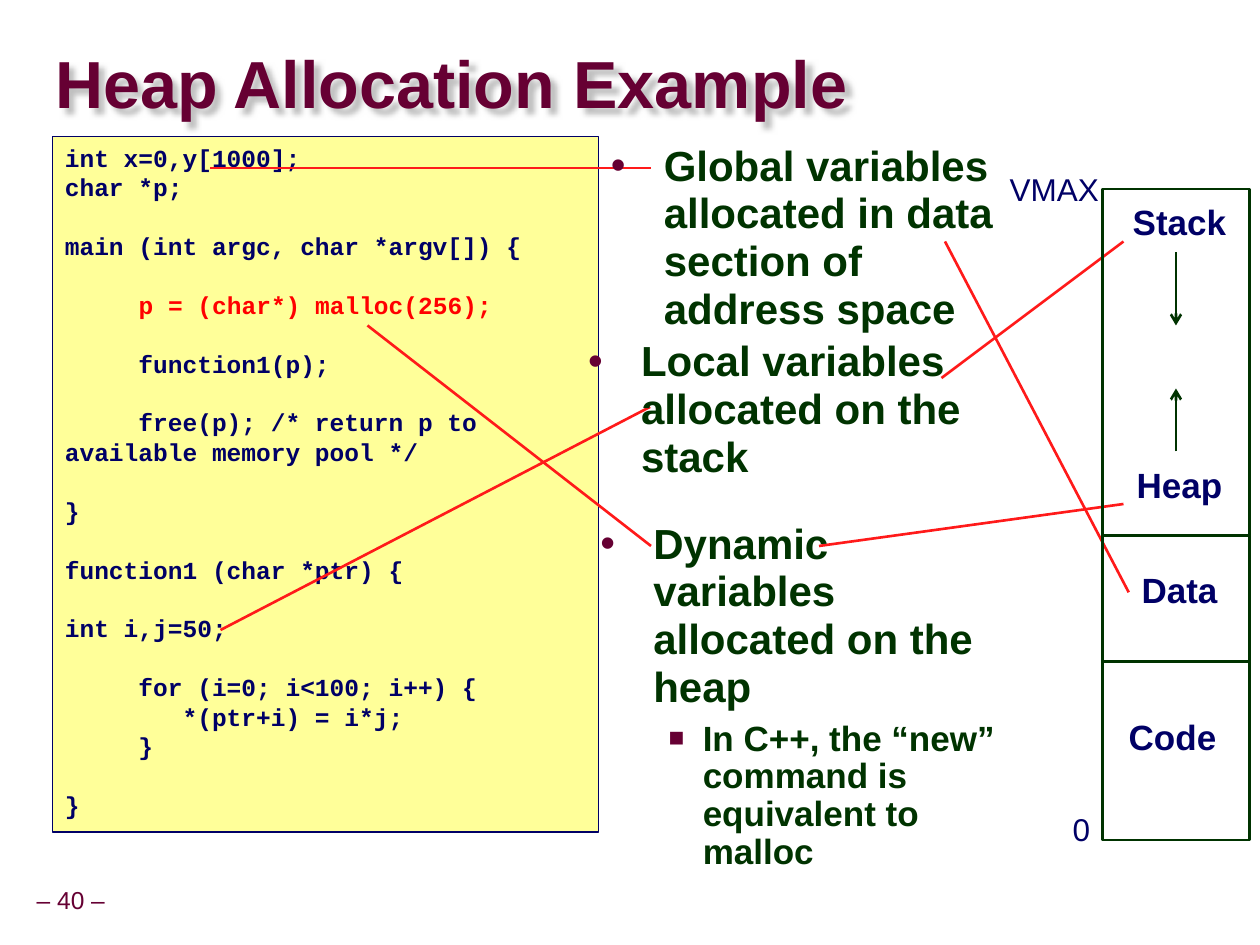
import pptx
import pptx.util
import pptx.dml.color
import pptx.enum.shapes
import pptx.enum.text
import pptx.oxml
import pptx.oxml.ns

Pt = pptx.util.Pt
RGBColor = pptx.dml.color.RGBColor
ALIGN = pptx.enum.text.PP_ALIGN
ANCHOR = pptx.enum.text.MSO_ANCHOR
RECTANGLE = pptx.enum.shapes.MSO_SHAPE.RECTANGLE
STRAIGHT = pptx.enum.shapes.MSO_CONNECTOR.STRAIGHT

MAROON = RGBColor(0x66, 0x00, 0x33)
NAVY = RGBColor(0x00, 0x00, 0x66)
GREEN = RGBColor(0x00, 0x33, 0x00)
YELLOW = RGBColor(0xFF, 0xFF, 0x99)
RED = RGBColor(0xFF, 0x00, 0x00)
LINK_RED = RGBColor(0xFF, 0x1A, 0x1A)
SHADOW_GRAY = RGBColor(0xC0, 0xC0, 0xC0)

TITLE = "Heap Allocation Example"
FOOTER = "– 40 –"
HIGHLIGHT = "p = (char*) malloc(256);"
# Each inner list is a run of code lines; a one-line gap separates them.
CODE_BLOCKS = [
    ["int x=0,y[1000];", "char *p;"],
    ["main (int argc, char *argv[]) {"],
    ["     " + HIGHLIGHT],
    ["     function1(p);"],
    ["     free(p); /* return p to available memory pool */"],
    ["}"],
    ["function1 (char *ptr) {"],
    ["int i,j=50;"],
    ["     for (i=0; i<100; i++) {", "        *(ptr+i) = i*j;", "     }"],
    ["}"],
]
CODE_SIZE = 14
CODE_GAP = CODE_SIZE * 1.2

# Each note: box, (level, text) bullets, and link lines (start, end)
NOTES = [
    ((329, 190, 250.5, 92), [(0, "Local variables allocated on the stack")],
     [((642, 138), (538, 216)), ((371.5, 232.5), (126, 360))]),
    ((336, 294, 245, 126),
     [(0, "Dynamic variables allocated on the heap"),
      (1, "In C++, the “new” command is equivalent to malloc")],
     [((372, 312), (210, 186)), ((642, 288), (468, 312))]),
    ((342, 78, 245, 99),
     [(0, "Global variables allocated in data section of address space")],
     [((372, 96), (120, 96)), ((645, 338.5), (540, 138))]),
]
# Per level: bullet, bullet size %, left indent, hanging, size, line spacing, space before
LEVELS = [("•", 100, 30.25, 30.25, 24, 0.95, 12), ("■", 75, 58.5, 19.5, 20, 0.9, 5)]

MEMORY_LEFT, MEMORY_TOP, MEMORY_WIDTH = 630, 108, 84
SECTION_HEIGHTS = [198, 72, 102]
LABEL_WIDTH = 76
# text, center x, top, size, bold
MEMORY_LABELS = [
    ("Stack", 674, 114, 20, True), ("Heap", 674, 264, 20, True),
    ("Data", 674, 324, 20, True), ("Code", 670, 408, 20, True),
    ("0", 618, 462, 18, False), ("VMAX", 602.5, 96, 18, False),
]
GROWTH_ARROWS = [((672, 144), (672, 186)), ((672, 258), (672, 222))]


def append_xml(parent, tag, inner="", **attributes):
    """Append an element of the drawing namespace to parent."""
    listed = "".join(f' {name}="{value}"' for name, value in attributes.items())
    namespace = pptx.oxml.ns.nsdecls("a")
    parent.append(pptx.oxml.parse_xml(f"<a:{tag} {namespace}{listed}>{inner}</a:{tag}>"))


def style(font, name, size, color, bold=False):
    font.name, font.size, font.bold = name, Pt(size), bold
    font.color.rgb = color


def add_text(slide, box, text, size, color, bold=False, align=ALIGN.CENTER,
             wrap=False, anchor=ANCHOR.TOP, spacing=0.9):
    shape = slide.shapes.add_textbox(*map(Pt, box))
    frame = shape.text_frame
    frame.word_wrap, frame.vertical_anchor = wrap, anchor
    frame.text = text
    paragraph = frame.paragraphs[0]
    paragraph.alignment, paragraph.line_spacing = align, spacing
    style(paragraph.runs[0].font, "Arial", size, color, bold)
    return shape


def add_line(slide, start, end, color, arrow=False):
    line = slide.shapes.add_connector(STRAIGHT, *map(Pt, start + end))
    line.line.color.rgb, line.line.width = color, Pt(1.5)
    if arrow:
        append_xml(line.line._get_or_add_ln(), "tailEnd", type="arrow")
    append_xml(line._element.spPr, "effectLst")


def add_title(slide):
    title = add_text(slide, (31.5, 19.5, 686, 61), TITLE, 38, MAROON, True,
                     ALIGN.LEFT, True, ANCHOR.MIDDLE, 0.87)
    frame = title.text_frame
    frame.margin_left = frame.margin_right = frame.margin_top = frame.margin_bottom = 0
    append_xml(title._element.spPr, "effectLst",
               f'<a:outerShdw blurRad="{Pt(3)}" dist="{Pt(4.25)}" dir="2700000">'
               f'<a:srgbClr val="{SHADOW_GRAY}"/></a:outerShdw>')


def add_code(slide):
    box = slide.shapes.add_shape(RECTANGLE, Pt(30), Pt(78), Pt(312), Pt(397.5))
    box.shadow.inherit = False
    box.fill.solid()
    box.fill.fore_color.rgb = YELLOW
    box.line.color.rgb, box.line.width = NAVY, Pt(1)
    frame = box.text_frame
    frame.word_wrap, frame.vertical_anchor = True, ANCHOR.TOP
    frame.text = "\n".join(line for block in CODE_BLOCKS for line in block)
    paragraphs = iter(frame.paragraphs)
    for block_index, block in enumerate(CODE_BLOCKS):
        for line_index, line in enumerate(block):
            paragraph = next(paragraphs)
            paragraph.alignment = ALIGN.LEFT
            if block_index and not line_index:
                paragraph.space_before = Pt(CODE_GAP)
            if HIGHLIGHT in line:
                paragraph.runs[0].text = line.replace(HIGHLIGHT, "")
                paragraph.add_run().text = HIGHLIGHT
            for run in paragraph.runs:
                color = RED if run.text == HIGHLIGHT else NAVY
                style(run.font, "Courier New", CODE_SIZE, color, True)


def add_note(slide, box, bullets):
    frame = slide.shapes.add_textbox(*map(Pt, box)).text_frame
    frame.word_wrap = True
    frame.text = "\n".join(text for _, text in bullets)
    for index, (paragraph, (level, _)) in enumerate(zip(frame.paragraphs, bullets)):
        bullet, percent, indent, hanging, size, spacing, before = LEVELS[level]
        paragraph.level, paragraph.line_spacing = level, spacing
        if index:
            paragraph.space_before = Pt(before)
        properties = paragraph._p.get_or_add_pPr()
        properties.set("marL", str(Pt(indent)))
        properties.set("indent", str(-Pt(hanging)))
        append_xml(properties, "buClr", f'<a:srgbClr val="{MAROON}"/>')
        append_xml(properties, "buSzPct", val=percent * 1000)
        append_xml(properties, "buFont", typeface="Arial")
        append_xml(properties, "buChar", char=bullet)
        style(paragraph.runs[0].font, "Arial", size, GREEN, True)


def add_memory_map(slide):
    top = MEMORY_TOP
    for height in SECTION_HEIGHTS:
        section = slide.shapes.add_shape(
            RECTANGLE, Pt(MEMORY_LEFT), Pt(top), Pt(MEMORY_WIDTH), Pt(height))
        section.shadow.inherit = False
        section.fill.background()
        section.line.color.rgb, section.line.width = GREEN, Pt(1.5)
        top += height
    for text, center, label_top, size, bold in MEMORY_LABELS:
        width = LABEL_WIDTH if len(text) > 1 else 26
        add_text(slide, (center - width / 2, label_top, width, size * 1.46),
                 text, size, NAVY, bold)
    for start, end in GROWTH_ARROWS:
        add_line(slide, start, end, GREEN, arrow=True)


def main():
    presentation = pptx.Presentation()
    presentation.slide_width, presentation.slide_height = Pt(720), Pt(540)
    slide = presentation.slides.add_slide(presentation.slide_layouts[6])
    footer = add_text(slide, (15, 504, 51, 22.5), FOOTER, 14, MAROON, anchor=ANCHOR.MIDDLE)
    footer.text_frame.margin_left = footer.text_frame.margin_right = Pt(3.6)
    add_title(slide)
    add_code(slide)
    for box, bullets, links in NOTES:
        for start, end in links:
            add_line(slide, start, end, LINK_RED)
        add_note(slide, box, bullets)
    add_memory_map(slide)
    presentation.save("out.pptx")


if __name__ == "__main__":
    main()
